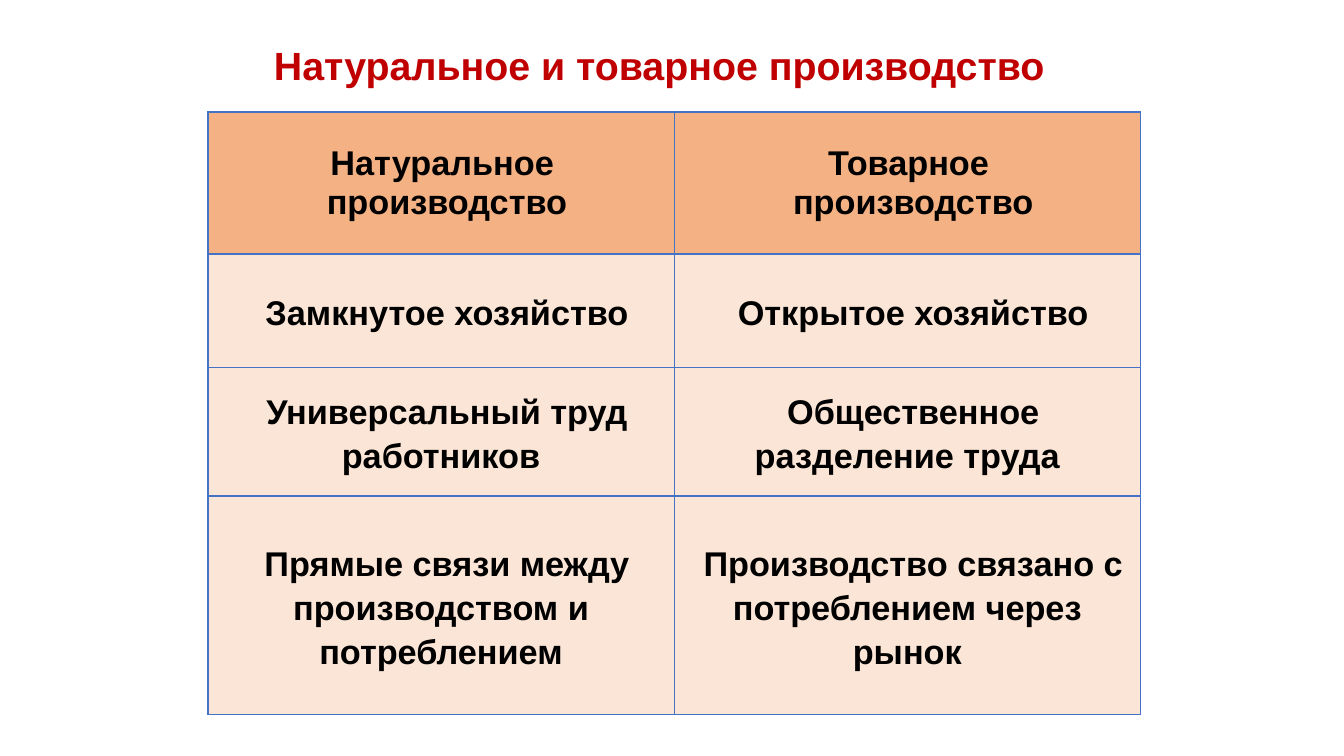
from pptx import Presentation
from pptx.dml.color import RGBColor
from pptx.enum.text import MSO_ANCHOR, MSO_AUTO_SIZE, PP_ALIGN
from pptx.oxml import parse_xml
from pptx.oxml.ns import nsdecls
from pptx.util import Cm, Pt

COLORS = {
    "title": "C00000",
    "text": "000000",
    "header": "F4B183",
    "body": "FBE5D6",
    "border": "4472C4",
}
ROWS = [
    ("Натуральное \nпроизводство", "Товарное \nпроизводство"),
    ("Замкнутое хозяйство", "Открытое хозяйство"),
    ("Универсальный труд работников", "Общественное разделение труда"),
    ("Прямые связи между производством и потреблением",
     "Производство связано с потреблением через рынок"),
]
ROW_HEIGHTS = [3.58, 2.87, 3.23, 5.51]
COLUMN_WIDTH = 11.75


class SlideBuilder:
    font_name = "Arial"
    title_size = 28.1
    cell_size = 24.5

    def __init__(self, prs):
        self.slide = prs.slides.add_slide(prs.slide_layouts[5])

    def format_runs(self, p, size, color):
        for r in p.runs:
            r.font.name = self.font_name
            r.font.size = Pt(size)
            r.font.bold = True
            r.font.color.rgb = RGBColor.from_string(COLORS[color])

    def title(self, text, left, top, width, height):
        sp = self.slide.shapes.title
        sp.left, sp.top, sp.width, sp.height = map(Cm, (left, top, width, height))
        tf = sp.text_frame
        tf.text = text
        tf.word_wrap = True
        tf.auto_size = MSO_AUTO_SIZE.NONE
        tf.vertical_anchor = MSO_ANCHOR.MIDDLE
        p = tf.paragraphs[0]
        p.alignment = PP_ALIGN.RIGHT
        self.format_runs(p, self.title_size, "title")

    def table(self, rows, left, top, column_width, row_heights):
        columns = len(rows[0])
        table = self.slide.shapes.add_table(
            len(rows), columns, Cm(left), Cm(top),
            Cm(column_width * columns), Cm(sum(row_heights))).table
        for column in table.columns:
            column.width = Cm(column_width)
        for i, (row, height) in enumerate(zip(rows, row_heights)):
            table.rows[i].height = Cm(height)
            for j, text in enumerate(row):
                self.cell(table.cell(i, j), text, is_header=i == 0)

    def cell(self, cell, text, is_header):
        margin = Cm(0.13 if is_header else 0.08)
        cell.margin_left = cell.margin_right = margin
        cell.margin_top = cell.margin_bottom = margin
        cell.vertical_anchor = MSO_ANCHOR.MIDDLE
        self.borders(cell)
        cell.fill.solid()
        cell.fill.fore_color.rgb = RGBColor.from_string(
            COLORS["header" if is_header else "body"])
        cell.text_frame.text = text
        for p in cell.text_frame.paragraphs:
            p.alignment = PP_ALIGN.CENTER
            pPr = p._p.get_or_add_pPr()
            pPr.set("marL", "0")
            pPr.set("indent", str(Cm(0.3)))
            if not is_header:
                p.line_spacing = 1.15
                p.space_after = Pt(10)
            self.format_runs(p, self.cell_size, "text")

    def borders(self, cell):
        """Draw all four cell sides; called before the fill, which must follow them."""
        tcPr = cell._tc.get_or_add_tcPr()
        for side in ("lnL", "lnR", "lnT", "lnB"):
            tcPr.append(parse_xml(
                f'<a:{side} {nsdecls("a")} w="{Pt(1)}"><a:solidFill>'
                f'<a:srgbClr val="{COLORS["border"]}"/></a:solidFill></a:{side}>'))


def main():
    prs = Presentation()
    prs.slide_width, prs.slide_height = Cm(33.87), Cm(19.05)
    builder = SlideBuilder(prs)
    builder.title("Натуральное и товарное производство", 6.4, 0.94, 20.19, 1.4)
    builder.table(ROWS, 5.24, 2.82, COLUMN_WIDTH, ROW_HEIGHTS)
    prs.save("out.pptx")


if __name__ == "__main__":
    main()
